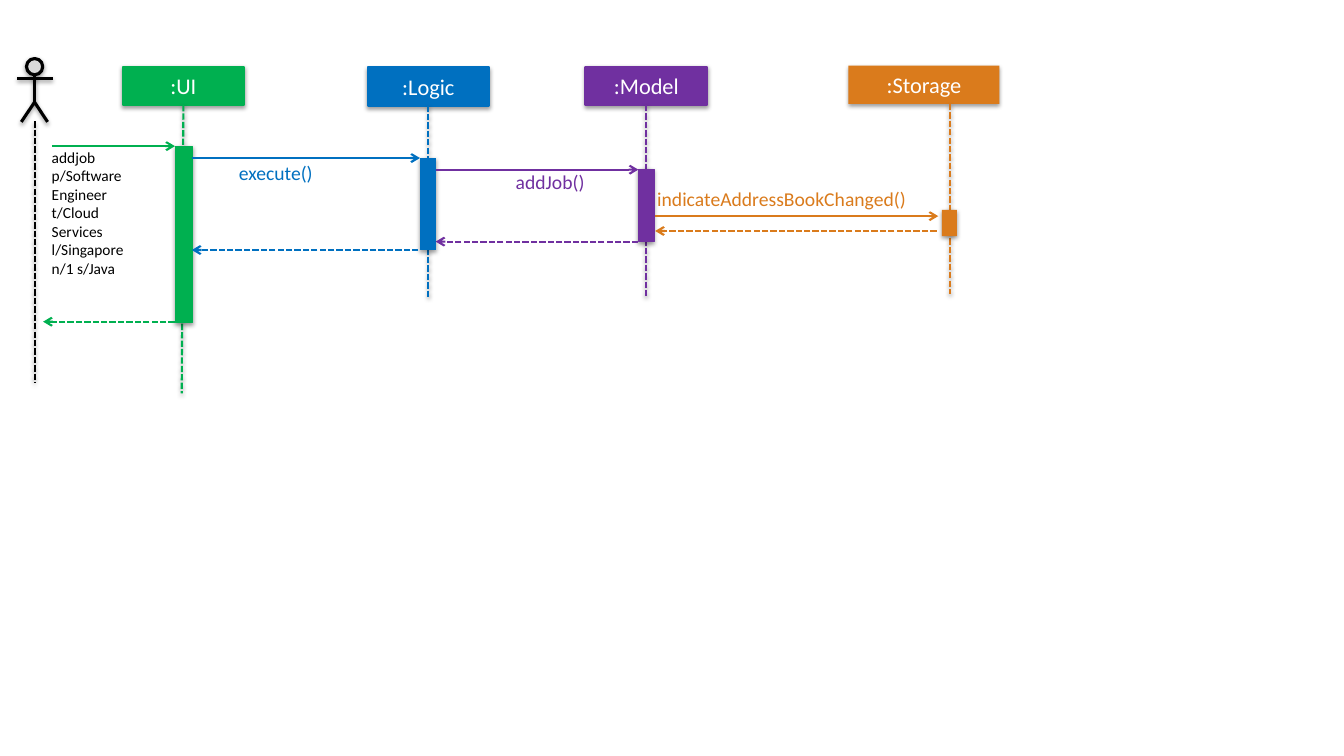
"""Build a sequence diagram of a job being added through four components."""
from lxml import etree
from pptx import Presentation
from pptx.dml.color import RGBColor
from pptx.enum.dml import MSO_LINE
from pptx.enum.shapes import MSO_CONNECTOR, MSO_SHAPE
from pptx.enum.text import MSO_ANCHOR, PP_ALIGN
from pptx.oxml.ns import qn
from pptx.util import Pt

RECT, HEAD = MSO_SHAPE.RECTANGLE, MSO_SHAPE.FLOWCHART_CONNECTOR
STRAIGHT, DASHED = MSO_CONNECTOR.STRAIGHT, MSO_LINE.SQUARE_DOT
LEFT, CENTER = PP_ALIGN.LEFT, PP_ALIGN.CENTER
TOP, MIDDLE = MSO_ANCHOR.TOP, MSO_ANCHOR.MIDDLE
FONT = "Calibri"
COLORS = {"ui": "00B050", "logic": "0070C0", "model": "7030A0", "storage": "DA7B1C",
          "black": "000000", "white": "FFFFFF", "face": "D9D9D9"}
HEADER_HEIGHT, BOTTOM = 27.4, 2

# name, colour, header (left, top, width), lifeline (x, top, foot x, foot),
# activation bar (left, top, width, height), outlined
PARTICIPANTS = [
    (":UI", "ui", (87.8, 47.6, 86.4), (131, 75, 129.8, 281), (125.2, 104.4, 12.2, 126), True),
    (":Logic", "logic", (262.8, 48, 86.4), (306, 75.4, 306, 212.4), (300.2, 113, 11.2, 65.5), True),
    (":Model", "model", (418.2, 47.6, 87), (461.7, 75, 461.7, 212.4), (456, 121, 11.2, 51.5), True),
    (":Storage", "storage", (606, 46.8, 108), (678.4, 74.2, 678.4, 210.2), (672.8, 150, 10.8, 18.7), False),
]
MESSAGES = [
    ("ui", 37, 104.4, 125, False),
    ("logic", 137, 112.9, 300, False),
    ("model", 311.2, 121.2, 456, False),
    ("storage", 468, 154.4, 670.2, False),
    ("storage", 669, 165, 468, True),
    ("model", 455.8, 172.6, 311.2, True),
    ("logic", 298.9, 178.6, 137, True),
    ("ui", 124.8, 229.8, 30.8, True),
]
LABELS = [
    ("addjob p/Software Engineer t/Cloud Services l/Singapore n/1 s/Java",
     "black", 11, (37, 105.8, 67.7, 92), LEFT),
    ("execute()", "logic", 14, (170.6, 114.7, 112, 16.8), LEFT),
    ("addJob()", "model", 14, (337, 121.2, 112, 16.8), CENTER),
    ("indicateAddressBookChanged()", "storage", 14, (469.4, 133.2, 245, 16.8), LEFT),
]
ACTOR_FACE = (18.9, 41.8, 11.6, 11.6)
ACTOR_LEGS = [(15.2, 87.1), (24.7, 73), (34, 87.1)]
ACTOR_LINES = [((24.7, 53.4), (24.7, 73.4)), ((12.3, 56.2), (37.7, 56.2))]
ACTOR_LIFELINE = ((24.7, 86.6), (24.7, 273.6))


def rgb(color):
    return RGBColor.from_string(COLORS[color])


def add_effects(part, shadow):
    effects = etree.SubElement(part._element.spPr, qn("a:effectLst"))
    if shadow:
        outer = etree.SubElement(effects, qn("a:outerShdw"), blurRad=str(Pt(3.1)),
                                 dist=str(Pt(1.6)), dir="5400000", rotWithShape="0")
        black = etree.SubElement(outer, qn("a:srgbClr"), val=COLORS["black"])
        etree.SubElement(black, qn("a:alpha"), val="38000")


def paint(part, fill, line, width):
    if fill:
        part.fill.solid()
        part.fill.fore_color.rgb = rgb(fill)
    else:
        part.fill.background()
    if width:
        part.line.color.rgb = rgb(line)
        part.line.width = Pt(width)
    else:
        part.line.fill.background()
    add_effects(part, True)


def add_block(slide, kind, box, fill, line, width):
    block = slide.shapes.add_shape(kind, *map(Pt, box))
    paint(block, fill, line, width)
    return block


def add_line(slide, start, end, color, width=1.5, dashed=False, arrow=False):
    link = slide.shapes.add_connector(STRAIGHT, *map(Pt, start + end))
    link.line.color.rgb = rgb(color)
    link.line.width = Pt(width)
    if dashed:
        link.line.dash_style = DASHED
    if arrow:
        etree.SubElement(link.line._get_or_add_ln(), qn("a:tailEnd"), type="arrow")
    add_effects(link, not arrow)
    return link


def write(frame, text, color, size, align, anchor):
    frame.word_wrap = True
    frame.vertical_anchor = anchor
    paragraph = frame.paragraphs[0]
    paragraph.alignment = align
    run = paragraph.add_run()
    run.text = text
    run.font.name = FONT
    run.font.size = Pt(size)
    run.font.color.rgb = rgb(color)


def add_participant(slide, name, color, header_box, lifeline, bar, outlined):
    left, top, width = header_box
    header = add_block(slide, RECT, (left, top, width, HEADER_HEIGHT), color, color, 1.5 * outlined)
    write(header.text_frame, name, "white", 16, CENTER, MIDDLE)
    stem = add_line(slide, lifeline[:2], lifeline[2:], color, dashed=True)
    if abs(lifeline[0] - left - width / 2) < 1:
        stem.begin_connect(header, BOTTOM)
    add_block(slide, RECT, bar, color, color, 0.75 * outlined)


def add_actor(slide):
    add_block(slide, HEAD, ACTOR_FACE, "face", "black", 2.25)
    for start, end in ACTOR_LINES:
        add_line(slide, start, end, "black", 2.25)
    hip, *rest = [(Pt(x), Pt(y)) for x, y in ACTOR_LEGS]
    outline = slide.shapes.build_freeform(*hip)
    outline.add_line_segments(rest, close=False)
    paint(outline.convert_to_shape(), None, "black", 2.25)
    add_line(slide, *ACTOR_LIFELINE, "black", dashed=True)


def add_label(slide, text, color, size, box, align):
    frame = slide.shapes.add_textbox(*map(Pt, box)).text_frame
    frame.margin_left = frame.margin_right = frame.margin_top = frame.margin_bottom = 0
    write(frame, text, color, size, align, TOP)


def main():
    deck = Presentation()
    deck.slide_width, deck.slide_height = Pt(960), Pt(540)
    slide = deck.slides.add_slide(deck.slide_layouts[6])
    add_actor(slide)
    for participant in PARTICIPANTS:
        add_participant(slide, *participant)
    for color, start, y, end, is_return in MESSAGES:
        add_line(slide, (start, y), (end, y), color, dashed=is_return, arrow=True)
    for label in LABELS:
        add_label(slide, *label)
    deck.save("out.pptx")


if __name__ == "__main__":
    main()
